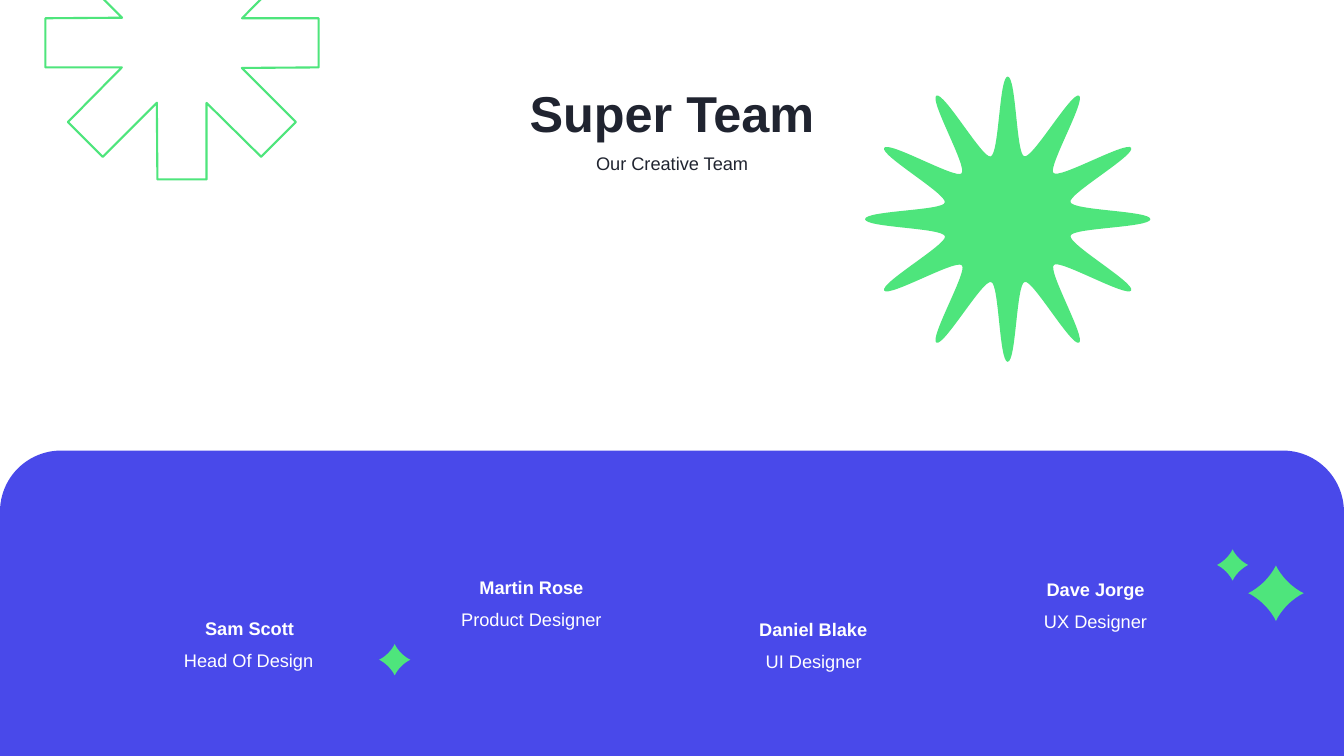
from dataclasses import dataclass
from math import cos, pi, sin

from lxml import etree
from pptx import Presentation
from pptx.dml.color import RGBColor
from pptx.enum.shapes import MSO_SHAPE
from pptx.enum.text import MSO_ANCHOR, MSO_AUTO_SIZE, PP_ALIGN
from pptx.oxml.ns import qn
from pptx.util import Inches, Pt

ROUND_TOP = MSO_SHAPE.ROUND_2_SAME_RECTANGLE
TOP = MSO_ANCHOR.TOP
CENTER = PP_ALIGN.CENTER
FIT_SHAPE = MSO_AUTO_SIZE.SHAPE_TO_FIT_TEXT
TITLE_ONLY = 5


@dataclass(frozen=True)
class Theme:
    font: str = "Arial"
    ink: RGBColor = RGBColor(0x20, 0x24, 0x30)
    white: RGBColor = RGBColor(0xFF, 0xFF, 0xFF)
    green: RGBColor = RGBColor(0x4E, 0xE5, 0x7C)
    blue: RGBColor = RGBColor(0x49, 0x49, 0xEA)
    title_size: int = 36
    text_size: int = 13
    outline: float = 1.5


THEME = Theme()

BURST_ARM = [(1, 0), (1, 0.06), (0.45, 0.06), (0.44, 0.12)]
SPARKLE_ARM = [(1, 0), (0.84, 0.07), (0.62, 0.22), (0.42, 0.42)]
ASTERISK_ARM = [(1, 0.18), (0.44, 0.18)]

TEXT_HEIGHT = 0.32
MEMBERS = [
    ("Sam Scott", 1.89, 1.17, "Head Of Design", 1.69, 1.55, 6.07),
    ("Martin Rose", 4.61, 1.32, "Product Designer", 4.39, 1.76, 5.67),
    ("Daniel Blake", 7.4, 1.33, "UI Designer", 7.47, 1.2, 6.08),
    ("Dave Jorge", 10.24, 1.25, "UX Designer", 10.23, 1.27, 5.69),
]
SPARKLES = [(12.07, 5.45, 0.31), (12.38, 5.61, 0.55), (3.76, 6.39, 0.31)]


def curve_outline(sp):
    """Turn each three line segments of a freeform into one cubic curve."""
    lines = list(sp._element.iter(qn("a:lnTo")))
    for i in range(0, len(lines), 3):
        curve = etree.Element(qn("a:cubicBezTo"))
        lines[i].addprevious(curve)
        for line in lines[i:i + 3]:
            curve.append(line[0])
            line.getparent().remove(line)


def add_star(slide, left, top, size, arms, half_arm, curved=True):
    """Draw a star by mirroring half an arm and turning it around the centre."""
    radius = size / 2
    cx, cy = left + radius, top + radius
    mirrored = [(x, -y) for x, y in reversed(half_arm)]
    arm = list(dict.fromkeys(mirrored + half_arm[:-1]))
    points = []
    for k in range(arms):
        c, s = cos(2 * pi * k / arms), sin(2 * pi * k / arms)
        points += [(Inches(cx + radius * (x * c - y * s)),
                    Inches(cy + radius * (x * s + y * c))) for x, y in arm]
    builder = slide.shapes.build_freeform(*points[0])
    builder.add_line_segments(points[1:] + points[:1], close=True)
    sp = builder.convert_to_shape()
    sp.shadow.inherit = False
    if curved:
        curve_outline(sp)
        sp.fill.solid()
        sp.fill.fore_color.rgb = THEME.green
        sp.line.fill.background()
    else:
        sp.fill.background()
        sp.line.color.rgb = THEME.green
        sp.line.width = Pt(THEME.outline)


def add_panel(slide, left, top, width, height):
    """Add the blue panel with rounded top corners."""
    sp = slide.shapes.add_shape(ROUND_TOP, Inches(left), Inches(top),
                                Inches(width), Inches(height))
    sp.adjustments[0] = 0.2
    sp.adjustments[1] = 0
    sp.shadow.inherit = False
    sp.fill.solid()
    sp.fill.fore_color.rgb = THEME.blue
    sp.line.fill.background()


def write_text(sp, text, size, color, bold=False, wrap=False):
    """Fill a shape with one centred line of text."""
    tf = sp.text_frame
    tf.text = text
    tf.word_wrap = wrap
    tf.auto_size = FIT_SHAPE
    tf.vertical_anchor = TOP
    p = tf.paragraphs[0]
    p.alignment = CENTER
    font = p.runs[0].font
    font.name = THEME.font
    font.size = Pt(size)
    font.bold = bold
    font.color.rgb = color


def set_title(slide, text, left, top, width, height):
    """Place and format the slide title."""
    sp = slide.shapes.title
    sp.left, sp.top = Inches(left), Inches(top)
    sp.width, sp.height = Inches(width), Inches(height)
    write_text(sp, text, THEME.title_size, THEME.ink, bold=True, wrap=True)


def add_label(slide, text, left, top, width, color, bold=False):
    """Add a one-line centred label."""
    sp = slide.shapes.add_textbox(Inches(left), Inches(top),
                                  Inches(width), Inches(TEXT_HEIGHT))
    write_text(sp, text, THEME.text_size, color, bold)


def add_member(slide, name, name_left, name_width, role, role_left, role_width, top):
    """Add a team member's name with the role below it."""
    add_label(slide, name, name_left, top, name_width, THEME.white, bold=True)
    add_label(slide, role, role_left, top + TEXT_HEIGHT, role_width, THEME.white)


def main():
    """Build the team slide and save it."""
    prs = Presentation()
    prs.slide_width, prs.slide_height = Inches(13.33), Inches(7.5)
    slide = prs.slides.add_slide(prs.slide_layouts[TITLE_ONLY])
    slide.background.fill.solid()
    slide.background.fill.fore_color.rgb = THEME.white

    add_star(slide, 8.58, 0.76, 2.83, 12, BURST_ARM)
    add_label(slide, "Our Creative Team", 5.74, 1.46, 1.85, THEME.ink)
    set_title(slide, "Super Team", 4.99, 0.76, 3.35, 0.71)
    add_panel(slide, 0, 4.47, 13.33, 3.03)
    for member in MEMBERS:
        add_member(slide, *member)
    add_star(slide, 0.45, -0.93, 2.71, 8, ASTERISK_ARM, curved=False)
    for left, top, size in SPARKLES:
        add_star(slide, left, top, size, 4, SPARKLE_ARM)

    prs.save("out.pptx")


if __name__ == "__main__":
    main()
